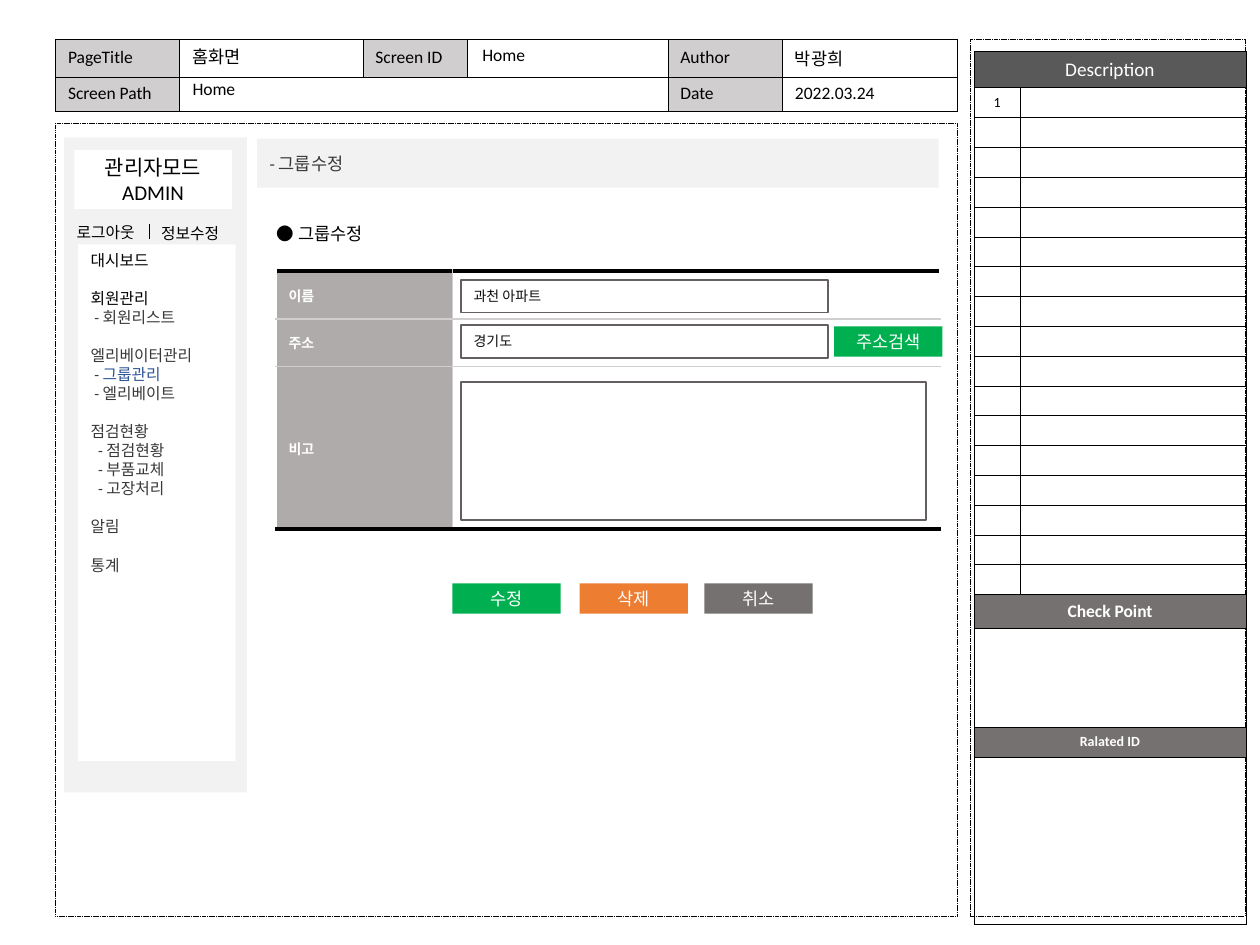
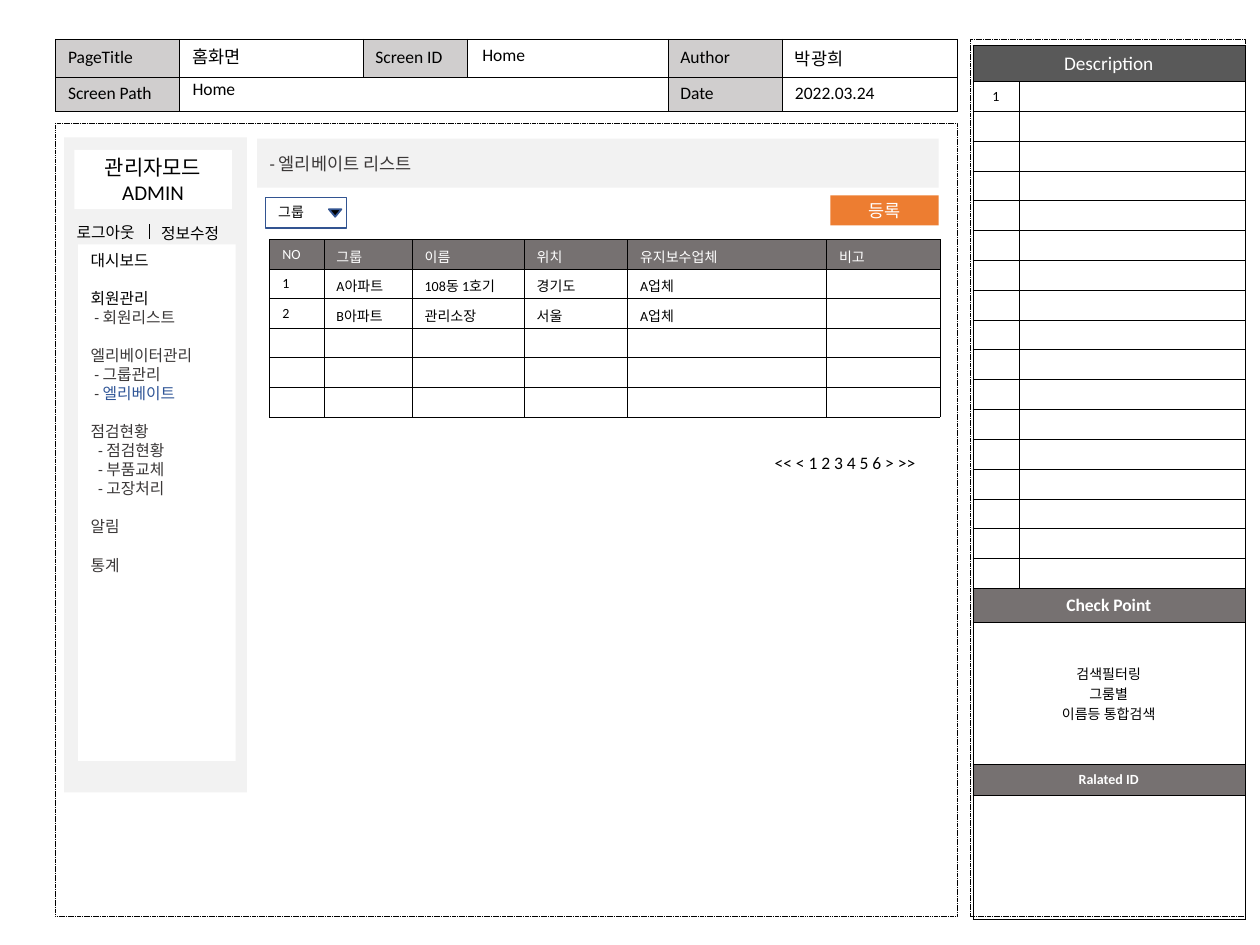
from itertools import product
from lxml.etree import SubElement as Sub
from pptx import Presentation as Deck
from pptx.dml.color import RGBColor as Rgb
from pptx.enum.dml import MSO_LINE as Dash
from pptx.enum.shapes import MSO_CONNECTOR as Link, MSO_SHAPE as Form
from pptx.enum.text import MSO_ANCHOR as Anchor, MSO_AUTO_SIZE as Fit, PP_ALIGN as Align
from pptx.oxml.ns import qn
from pptx.util import Inches, Pt

HUES = {
    "black": "000000", "white": "FFFFFF", "pale": "F2F2F2", "label": "D0CECE",
    "head": "595959", "gray": "767171", "form": "AFABAB", "frame": "646060",
    "dark": "3B3838", "ink": "0D0D0D", "blue": "2F5597", "edge": "325491",
    "green": "00B050", "orange": "ED7D31",
}
FONT = "Calibri"
COLS, ROWS = 100, 75
MID, LEFT = Align.CENTER, Align.LEFT
THIN = ("black", 0.25)
GRID = dict.fromkeys("LRTB", THIN)

MENU = [
    ("대시보드", []),
    ("회원관리", ["회원리스트"]),
    ("엘리베이터관리", ["그룹관리", "엘리베이트"]),
    ("점검현황", ["점검현황", "부품교체", "고장처리"]),
    ("알림", []),
    ("통계", []),
]


def hue(name):
    return Rgb.from_string(HUES[name])


class Pen:
    """Draws on the current slide, with lengths in grid columns and rows."""

    def __init__(self):
        self.deck = Deck()
        self.deck.slide_width, self.deck.slide_height = Inches(10), Inches(7.5)
        self.slide = None

    def across(self, cols):
        return round(self.deck.slide_width * cols / COLS)

    def down(self, rows):
        return round(self.deck.slide_height * rows / ROWS)

    def place(self, x, y, w, h):
        return self.across(x), self.down(y), self.across(w), self.down(h)

    def style(self, run, size, ink, bold=False):
        font = run.font
        font.name, font.size, font.bold = FONT, Pt(size), bold
        font.color.rgb = hue(ink)

    def label(self, frame, text, size=10, ink="black", bold=False, align=LEFT):
        frame.text = text
        for para in frame.paragraphs:
            para.alignment = align
            for run in para.runs:
                self.style(run, size, ink, bold)

    def title(self, text, x, y, w, h):
        self.slide = self.deck.slides.add_slide(self.deck.slide_layouts[5])
        band = self.slide.shapes.title
        band.left, band.top, band.width, band.height = self.place(x, y, w, h)
        band.fill.solid()
        band.fill.fore_color.rgb = hue("pale")
        frame = band.text_frame
        frame.auto_size, frame.vertical_anchor = Fit.NONE, Anchor.MIDDLE
        self.label(frame, text, ink="dark")

    def box(self, x, y, w, h, fill=None, line=None, form=Form.RECTANGLE,
            text="", anchor=Anchor.MIDDLE, **look):
        shape = self.slide.shapes.add_shape(form, *self.place(x, y, w, h))
        shape.shadow.inherit = False
        if fill:
            shape.fill.solid()
            shape.fill.fore_color.rgb = hue(fill)
        else:
            shape.fill.background()
        if line:
            shape.line.color.rgb, shape.line.width = hue(line[0]), Pt(line[1])
        else:
            shape.line.fill.background()
        shape.text_frame.vertical_anchor = anchor
        if text:
            self.label(shape.text_frame, text, **look)
        return shape

    def button(self, x, y, text, fill):
        self.box(x, y, 8.6, 2.4, fill, text=text, ink="white", align=MID)

    def field(self, y, text):
        self.box(36.6, y, 29.1, 2.6, line=("frame", 1), text=text, size=8, ink="ink")

    def note(self, x, y, w, h, text, **look):
        frame = self.slide.shapes.add_textbox(*self.place(x, y, w, h)).text_frame
        frame.word_wrap = True
        self.label(frame, text, **look)

    def rule(self, x, top, end, width):
        line = self.slide.shapes.add_connector(
            Link.STRAIGHT, self.across(x), self.down(top), self.across(x), self.down(end))
        line.line.color.rgb, line.line.width = hue("black"), Pt(width)
        Sub(line._element.spPr, qn("a:effectLst"))

    def border(self, cell, edges):
        props = cell._tc.get_or_add_tcPr()
        for side in "LRTB":
            if side in edges:
                name, width = edges[side]
                line = Sub(props, qn(f"a:ln{side}"), w=str(Pt(width)))
                Sub(Sub(line, qn("a:solidFill")), qn("a:srgbClr"), val=HUES[name])

    def table(self, x, y, cols, rows, texts, look, joins=(), edges=lambda r, c: GRID):
        """look(r, c) gives the fill and text style of a cell."""
        table = self.slide.shapes.add_table(
            len(rows), len(cols), *self.place(x, y, sum(cols), sum(rows))).table
        table.first_row = table.horz_banding = False
        for col, size in zip(table.columns, cols):
            col.width = self.across(size)
        for row, size in zip(table.rows, rows):
            row.height = self.down(size)
        for r, c in product(range(len(rows)), range(len(cols))):
            cell = table.cell(r, c)
            self.border(cell, edges(r, c))
            style = dict(look(r, c))
            fill = style.pop("fill", None)
            if fill:
                cell.fill.solid()
                cell.fill.fore_color.rgb = hue(fill)
            else:
                cell.fill.background()
            cell.vertical_anchor = Anchor.MIDDLE
            if (r, c) in texts:
                self.label(cell.text_frame, texts[r, c], **style)
            else:
                # Small end mark keeps an empty row low
                cell.text_frame.paragraphs[0]._p.get_or_add_endParaRPr().set("sz", "800")
        for r, first, last in joins:
            table.cell(r, first).merge(table.cell(r, last))


# Parts shared by the slides
def header(pen):
    texts = {(0, 0): "PageTitle", (0, 2): "Screen ID", (0, 4): "Author", (0, 5): "박광희",
             (1, 0): "Screen Path", (1, 4): "Date", (1, 5): "2022.03.24"}
    tags = {(0, 0), (0, 2), (0, 4), (1, 0), (1, 4)}
    pen.table(4.4, 3.1, [9.8, 14.6, 8.3, 15.9, 9.1, 13.9], [3, 2.6], texts,
              lambda r, c: {"fill": "label" if (r, c) in tags else None}, [(1, 1, 3)])
    for x, y, w, text in [(14.3, 3.2, 14.5, "홈화면"), (14.3, 5.7, 38.4, "Home"),
                          (37.3, 3, 14.5, "Home")]:
        pen.note(x, y, w, 2.7, text)


def frames(pen):
    for x, y, w, h in [(4.4, 9.8, 71.6, 62.9), (77, 3.1, 21.8, 69.6)]:
        pen.box(x, y, w, h, line=THIN).line.dash_style = Dash.SQUARE_DOT


def sidebar(pen, active):
    pen.box(5.1, 10.9, 14.5, 52, "pale")
    pen.box(5.9, 11.9, 12.5, 4.7, "white", text="관리자모드\nADMIN", size=12, align=MID)
    pen.note(5.1, 17.2, 7.1, 2.5, "로그아웃", size=9)
    pen.note(11.8, 17.3, 7.1, 2.5, "정보수정", size=9)
    pen.rule(11.9, 17.8, 19, 0.5)

    # Menu
    frame = pen.box(6.2, 19.4, 12.5, 41, "white", anchor=Anchor.TOP).text_frame
    para = frame.paragraphs[0]
    for rank, (group, items) in enumerate(MENU):
        if rank:
            para = frame.add_paragraph()
            para.space_before = Pt(11)
        para.text, para.alignment = group, LEFT
        pen.style(para.runs[0], 9, "black" if rank < 2 else "dark")
        for item in items:
            para = frame.add_paragraph()
            para.text, para.alignment = "- ", LEFT
            indent = pen.across(0.6 if len(items) > 2 else 0.3)
            para._p.get_or_add_pPr().set("marL", str(indent))
            para.add_run().text = item
            pen.style(para.runs[0], 9, "dark")
            pen.style(para.runs[1], 9, "blue" if item == active else "dark")


def panel(pen, x, y, check, rest, memo=""):
    rows = [2.86] + [2.37] * 17 + [2.7, check, 2.4, rest]
    texts = {(0, 0): "Description", (1, 0): "1", (18, 0): "Check Point",
             (20, 0): "Ralated ID"}
    if memo:
        texts[19, 0] = memo
    heads = {0: {"fill": "head", "size": 11, "ink": "white"},
             18: {"fill": "gray", "size": 10, "ink": "white", "bold": True},
             20: {"fill": "gray", "size": 8, "ink": "white", "bold": True}}
    pen.table(x, y, [3.7, 17.9], rows, texts,
              lambda r, c: {"align": MID, **heads.get(r, {"size": 8})},
              [(r, 0, 1) for r in (0, 18, 19, 20, 21)])


def screen(pen, title, active, side):
    pen.title(title, 20.4, 11, 54.1, 3.9)
    header(pen)
    frames(pen)
    sidebar(pen, active)
    panel(pen, *side)


# Slide 1: edit a group
def edit(pen):
    screen(pen, "- 그룹수정", "그룹관리", (77.3, 4.1, 7.8, 13.3))
    pen.note(21, 17.2, 11, 2.7, "● 그룹수정")

    def edges(r, c):
        thick, soft = ("black", 2.25), ("label", 1)
        return {"T": soft if r else thick, "B": thick if r == 2 else soft,
                "L" if c else "R": soft}

    pen.table(21.9, 21.5, [14, 38.7], [3.8, 3.8, 12.9],
              {(0, 0): "이름", (1, 0): "주소", (2, 0): "비고"},
              lambda r, c: {"fill": None if c else "form", "size": 8,
                            "ink": "white", "bold": True}, edges=edges)
    pen.field(22.2, "과천 아파트")
    pen.field(25.8, "경기도")
    pen.box(36.6, 30.3, 36.9, 11, line=("frame", 1))

    # Buttons
    pen.button(66.2, 25.9, "주소검색", "green")
    for x, text, fill in [(35.9, "수정", "green"), (46, "삭제", "orange"),
                          (55.9, "취소", "gray")]:
        pen.button(x, 46.3, text, fill)


# Slide 2: list of elevators
def listing(pen):
    screen(pen, "- 엘리베이트 리스트", "엘리베이트",
           (77.2, 3.6, 11.3, 9.9, "검색필터링\n그룸별\n이름등 통합검색"))
    data = [["NO", "그룹", "이름", "위치", "유지보수업체", "비고"],
            ["1", "A아파트", "108동 1호기", "경기도", "A업체"],
            ["2", "B아파트", "관리소장", "서울", "A업체"]]
    texts = {(r, c): text for r, row in enumerate(data) for c, text in enumerate(row)}
    pen.table(21.4, 19, [4.3, 7, 8.9, 8.2, 15.8, 9], [2.35] * 6, texts,
              lambda r, c: {"size": 8, "fill": None if r else "gray",
                            "ink": "black" if r else "white"})
    pen.note(60.5, 35.4, 14, 2.7, "<< < 1 2 3 4 5 6 > >>")
    pen.button(65.9, 15.5, "등록", "orange")

    # Group filter
    pen.box(21.1, 15.7, 6.4, 2.4, "white", ("edge", 0.75), text="그룹", size=8,
            anchor=Anchor.TOP)
    pen.box(26.1, 16.6, 1, 0.6, "black", ("edge", 1), Form.ISOSCELES_TRIANGLE).rotation = 180


def main():
    pen = Pen()
    edit(pen)
    listing(pen)
    pen.deck.save("out.pptx")


if __name__ == "__main__":
    main()
